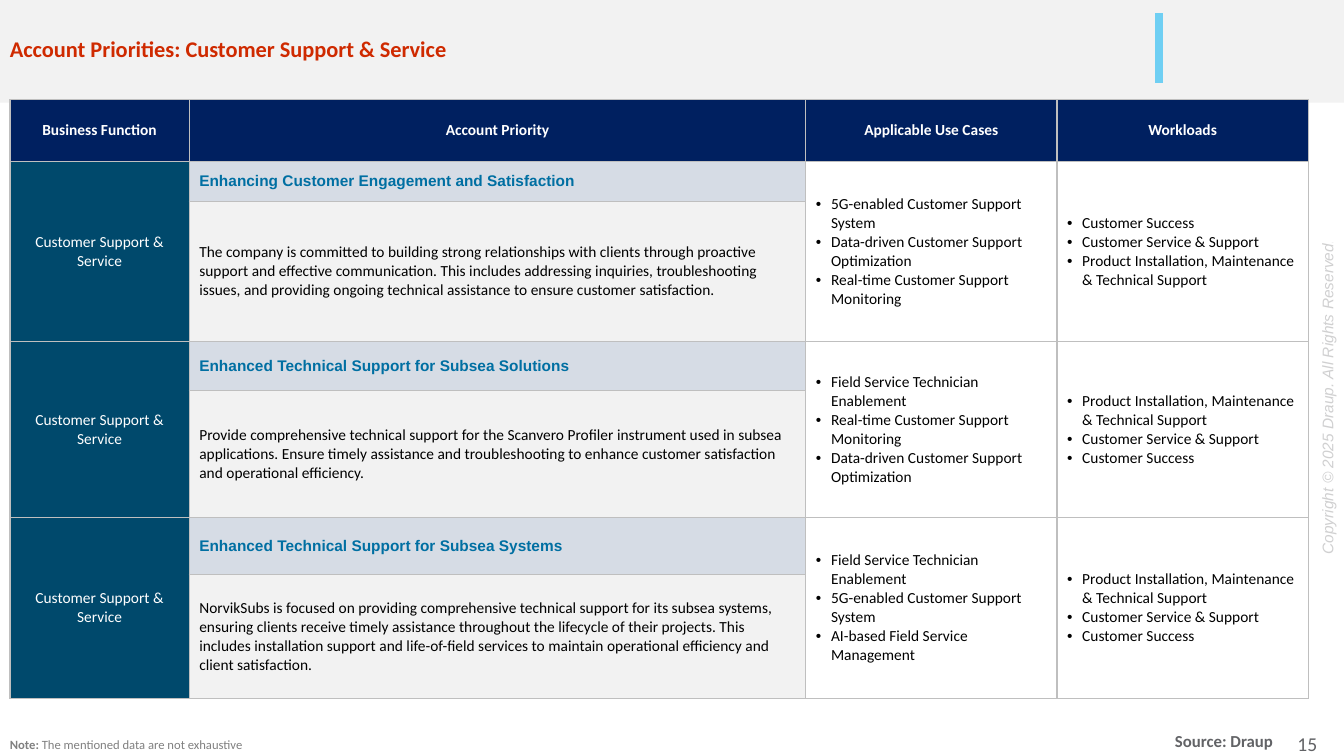
from dataclasses import dataclass
from lxml.etree import SubElement
from pptx import Presentation
from pptx.dml.color import RGBColor
from pptx.enum.shapes import MSO_CONNECTOR as Connector, MSO_SHAPE as Shape
from pptx.enum.text import MSO_ANCHOR as Anchor, PP_ALIGN as Align
from pptx.oxml import parse_xml
from pptx.oxml.ns import nsdecls, qn
from pptx.util import Cm, Pt


@dataclass(frozen=True)
class Theme:
    body: str = "Calibri"
    accent_font: str = "Arial"
    band: str = "F2F2F2"
    accent: str = "6FCFF3"
    title: str = "CF2A00"
    header: str = "002060"
    function: str = "00496C"
    heading_fill: str = "D6DCE5"
    heading: str = "006FA2"
    border: str = "BFBFBF"
    white: str = "FFFFFF"
    black: str = "000000"
    footer: str = "626366"
    note: str = "808080"
    copyright: str = "4A4A4D"
    title_size: int = 16
    number_size: int = 14
    source_size: int = 12
    cell_size: int = 11
    note_size: int = 9


@dataclass(frozen=True)
class Box:
    left: float
    top: float
    width: float
    height: float

    def inset(self, left, top, width, height):
        return Box(self.left + left, self.top + top, width, height)

    def lengths(self):
        return [Cm(side) for side in (self.left, self.top, self.width, self.height)]


THEME = Theme()
BULLET_INDENT = Cm(0.38)
HEADERS = ["Business Function", "Account Priority", "Applicable Use Cases", "Workloads"]
COLUMN_WIDTHS = [4.52, 15.54, 6.33, 6.33]
HEADER_HEIGHT = 1.55
FUNCTION = "Customer Support & Service"
SUCCESS = "Customer Success"
SERVICE = "Customer Service & Support"
INSTALLATION = "Product Installation, Maintenance & Technical Support"
SYSTEM = "5G-enabled Customer Support System"
OPTIMIZATION = "Data-driven Customer Support Optimization"
MONITORING = "Real-time Customer Support Monitoring"
TECHNICIAN = "Field Service Technician Enablement"
MANAGEMENT = "AI-based Field Service Management"
PRIORITIES = [
    ("Enhancing Customer Engagement and Satisfaction",
     "The company is committed to building strong relationships with clients through proactive "
     "support and effective communication. This includes addressing inquiries, troubleshooting "
     "issues, and providing ongoing technical assistance to ensure customer satisfaction.",
     [SYSTEM, OPTIMIZATION, MONITORING], [SUCCESS, SERVICE, INSTALLATION], (1.02, 3.53)),
    ("Enhanced Technical Support for Subsea Solutions",
     "Provide comprehensive technical support for the Scanvero Profiler instrument used in subsea "
     "applications. Ensure timely assistance and troubleshooting to enhance customer satisfaction "
     "and operational efficiency.",
     [TECHNICIAN, MONITORING, OPTIMIZATION], [INSTALLATION, SERVICE, SUCCESS], (1.24, 3.18)),
    ("Enhanced Technical Support for Subsea Systems",
     "NorvikSubs is focused on providing comprehensive technical support for its subsea systems, "
     "ensuring clients receive timely assistance throughout the lifecycle of their projects. This "
     "includes installation support and life-of-field services to maintain operational efficiency "
     "and client satisfaction.",
     [TECHNICIAN, SYSTEM, MANAGEMENT], [INSTALLATION, SERVICE, SUCCESS], (1.45, 3.12)),
]


def apply(target, formats):
    for name, value in formats.items():
        setattr(target, name, value)


def add_run(paragraph, text, size, color, font=THEME.body, **formats):
    run = paragraph.add_run()
    run.text = text
    apply(run.font, {"name": font, "size": Pt(size), **formats})
    run.font.color.rgb = RGBColor.from_string(color)
    return run


def add_label(slide, box, **frame_formats):
    label = slide.shapes.add_textbox(*box.lengths())
    apply(label.text_frame, {"word_wrap": True, **frame_formats})
    return label


def draw_header(slide, box):
    band = slide.shapes.add_shape(Shape.RECTANGLE, *box.lengths())
    band.shadow.inherit = False
    band.fill.solid()
    band.fill.fore_color.rgb = RGBColor.from_string(THEME.band)
    band.line.fill.background()

    x, top = Cm(box.left + 29.21), box.top + 0.36
    accent = slide.shapes.add_connector(Connector.STRAIGHT, x, Cm(top), x, Cm(top + 1.75))
    accent.line.color.rgb = RGBColor.from_string(THEME.accent)
    accent.line.width = Pt(5.25)
    SubElement(accent._element.spPr, qn("a:effectLst"))

    title = add_label(slide, box.inset(0, 0.11, 28.8, 2.36), vertical_anchor=Anchor.MIDDLE)
    heading = title.text_frame.paragraphs[0]
    heading.line_spacing = 0.9
    add_run(heading, "Account Priorities: Customer Support & Service",
            THEME.title_size, THEME.title, bold=True)


def draw_footer(slide, box):
    note = add_label(slide, box.inset(0, 0.23, 18.26, 0.64)).text_frame.paragraphs[0]
    add_run(note, "Note: ", THEME.note_size, THEME.note, bold=True)
    add_run(note, "The mentioned data are not exhaustive", THEME.note_size, THEME.note)

    source = add_label(slide, box.inset(29.36, 0.08, 3.02, 0.76), word_wrap=False)
    add_run(source.text_frame.paragraphs[0], "Source: Draup",
            THEME.source_size, THEME.footer, bold=True)

    number = add_label(slide, box.inset(32.18, 0, 1.27, 0.94), vertical_anchor=Anchor.BOTTOM)
    page = number.text_frame.paragraphs[0]
    page.alignment = Align.RIGHT
    add_run(page, "15", THEME.number_size, THEME.footer)


def draw_copyright(slide, box):
    middle = box.inset((box.width - box.height) / 2, (box.height - box.width) / 2,
                       box.height, box.width)
    label = add_label(slide, middle)
    label.rotation = 270
    run = add_run(label.text_frame.paragraphs[0], "Copyright © 2025 Draup. All Rights Reserved.",
                  THEME.cell_size, THEME.copyright, THEME.accent_font, italic=True)
    tint = run._r.find(".//" + qn("a:srgbClr"))
    SubElement(tint, qn("a:alpha"), val="26000")


def add_bullet(paragraph):
    properties = paragraph._p.get_or_add_pPr()
    properties.set("marL", str(BULLET_INDENT))
    properties.set("indent", str(-BULLET_INDENT))
    SubElement(properties, qn("a:buFont"), typeface=THEME.accent_font)
    SubElement(properties, qn("a:buChar"), char="•")


def fill_cell(cell, lines, fill, color=THEME.black, align=Align.LEFT, bullets=False, **formats):
    cell.vertical_anchor = Anchor.MIDDLE
    cell.fill.solid()
    cell.fill.fore_color.rgb = RGBColor.from_string(fill)
    frame = cell.text_frame
    for index, line in enumerate(lines):
        paragraph = frame.add_paragraph() if index else frame.paragraphs[0]
        paragraph.alignment = align
        if bullets:
            add_bullet(paragraph)
        add_run(paragraph, line, THEME.cell_size, color, **formats)


def add_borders(cell):
    properties = cell._tc.get_or_add_tcPr()
    for index, side in enumerate(("lnL", "lnR", "lnT", "lnB")):
        properties.insert(index, parse_xml(
            f'<a:{side} {nsdecls("a")} w="{Pt(1)}"><a:solidFill>'
            f'<a:srgbClr val="{THEME.border}"/></a:solidFill></a:{side}>'))


def draw_priorities(slide, box):
    heights = [HEADER_HEIGHT] + [height for *_, pair in PRIORITIES for height in pair]
    table = slide.shapes.add_table(len(heights), len(HEADERS), *box.lengths()).table
    for column, width in zip(table.columns, COLUMN_WIDTHS):
        column.width = Cm(width)
    for row, height in zip(table.rows, heights):
        row.height = Cm(height)

    for column, header in enumerate(HEADERS):
        fill_cell(table.cell(0, column), [header], THEME.header, THEME.white,
                  Align.CENTER, bold=True)
    for index, (heading, summary, use_cases, workloads, _) in enumerate(PRIORITIES):
        top = 1 + 2 * index
        for column in (0, 2, 3):
            table.cell(top, column).merge(table.cell(top + 1, column))
        fill_cell(table.cell(top, 0), [FUNCTION], THEME.function, THEME.white,
                  Align.CENTER, bold=False)
        fill_cell(table.cell(top, 1), [heading], THEME.heading_fill, THEME.heading,
                  font=THEME.accent_font, bold=True)
        fill_cell(table.cell(top + 1, 1), [summary], THEME.band, bold=False)
        for column, items in ((2, use_cases), (3, workloads)):
            fill_cell(table.cell(top, column), items, THEME.white, bullets=True, bold=False)
    for cell in table.iter_cells():
        add_borders(cell)


def main():
    deck = Presentation()
    apply(deck, {"slide_width": Cm(33.87), "slide_height": Cm(19.05)})
    slide = deck.slides.add_slide(deck.slide_layouts[6])
    draw_header(slide, Box(0, -0.03, 33.87, 2.62))
    draw_footer(slide, Box(0, 18.21, 33.87, 0.94))
    draw_copyright(slide, Box(33.09, -0.23, 0.74, 14.45))
    draw_priorities(slide, Box(0.25, 2.51, 32.72, 15.06))
    deck.save("out.pptx")


if __name__ == "__main__":
    main()
